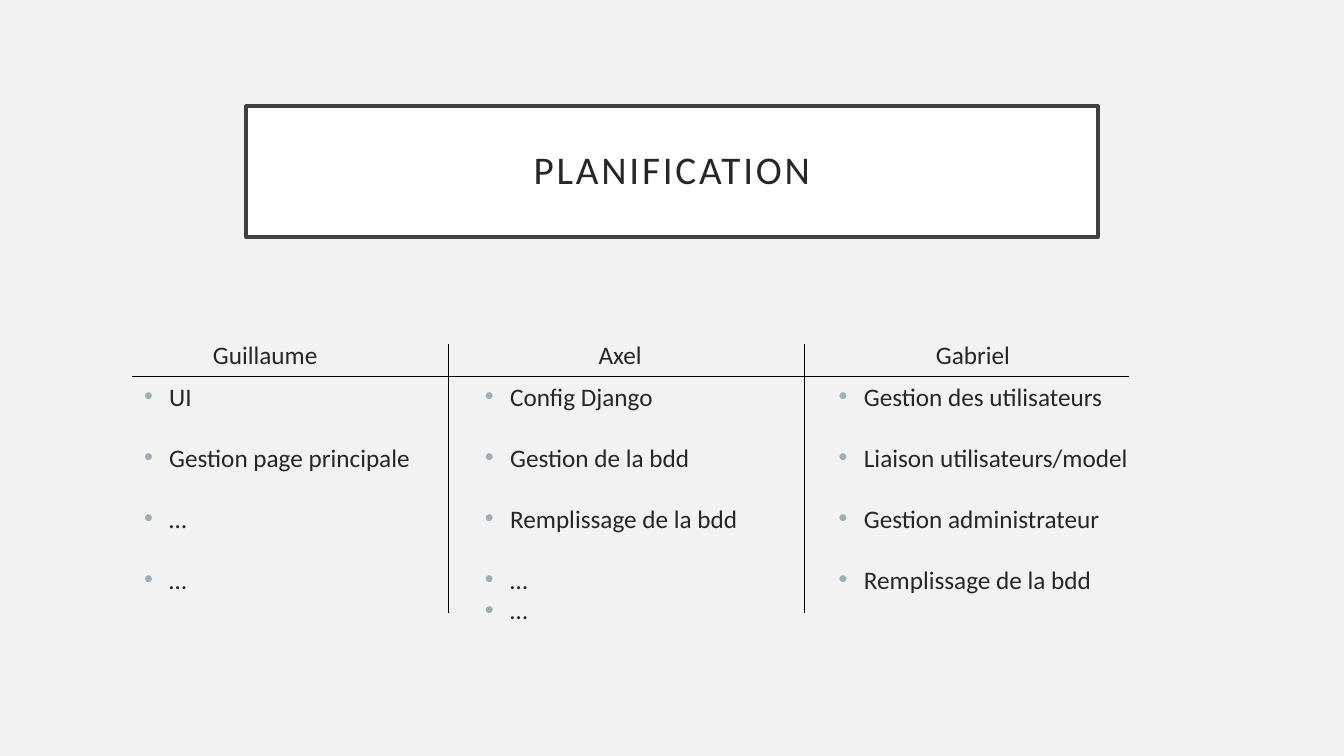
from dataclasses import dataclass
from lxml.etree import SubElement
from pptx import Presentation
from pptx.dml.color import RGBColor
from pptx.enum.shapes import MSO_CONNECTOR
from pptx.enum.text import MSO_ANCHOR, MSO_AUTO_SIZE, PP_ALIGN
from pptx.oxml.ns import qn
from pptx.slide import Slide
from pptx.util import Inches, Pt


def color(value):
    """Turn a hex string into a colour."""
    return RGBColor.from_string(value)


@dataclass
class PlanningSlide:
    """Hold the slide and its style, and draw each kind of element."""
    slide: Slide
    font_name: str = "Calibri"
    text_color: str = "262626"
    bullet_color: str = "9BAFB5"
    text_size: int = 18
    item_gap: int = 22

    def style(self, paragraph, size):
        """Apply the common font to a paragraph."""
        font = paragraph.font
        font.name = self.font_name
        font.size = Pt(size)
        font.color.rgb = color(self.text_color)

    def place(self, shape, left, top, width, height):
        """Move a shape and prepare its text frame."""
        shape.left, shape.top = Inches(left), Inches(top)
        shape.width, shape.height = Inches(width), Inches(height)
        shape.text_frame.word_wrap = True
        shape.text_frame.auto_size = MSO_AUTO_SIZE.NONE

    def text_box(self):
        """Add an empty text box."""
        return self.slide.shapes.add_textbox(0, 0, 0, 0)

    def title(self, text, left, top, width, height):
        """Fill and frame the title placeholder."""
        shape = self.slide.shapes.title
        self.place(shape, left, top, width, height)
        shape.fill.solid()
        shape.fill.fore_color.rgb = color("FFFFFF")
        shape.line.color.rgb = color("404040")
        shape.line.width = Pt(2.5)
        frame = shape.text_frame
        frame.vertical_anchor = MSO_ANCHOR.MIDDLE
        frame.margin_left = frame.margin_right = Inches(0.2)
        frame.margin_top = frame.margin_bottom = Inches(0.2)
        paragraph = frame.paragraphs[0]
        run = paragraph.add_run()
        run.text = text
        run.font._element.set("spc", "200")
        paragraph.alignment = PP_ALIGN.CENTER
        paragraph.line_spacing = 0.9
        self.style(paragraph, 28)

    def header(self, text, left, top, width, height):
        """Add a centred column header."""
        shape = self.text_box()
        self.place(shape, left, top, width, height)
        paragraph = shape.text_frame.paragraphs[0]
        paragraph.text = text
        paragraph.alignment = PP_ALIGN.CENTER
        self.style(paragraph, self.text_size)

    def bullets(self, shape, items, spaced, left, top, width, height):
        """Write a bulleted list whose first items are spaced apart."""
        self.place(shape, left, top, width, height)
        frame = shape.text_frame
        frame.text = "\n".join(items)
        for index, paragraph in enumerate(frame.paragraphs):
            paragraph.space_before = Pt(self.item_gap if 0 < index < spaced else 0)
            properties = paragraph._p.get_or_add_pPr()
            properties.set("marL", str(Inches(0.25)))
            properties.set("indent", str(-Inches(0.25)))
            bullet = SubElement(properties, qn("a:buClr"))
            SubElement(bullet, qn("a:srgbClr"), val=self.bullet_color)
            SubElement(properties, qn("a:buFont"), typeface="Arial")
            SubElement(properties, qn("a:buChar"), char="•")
            self.style(paragraph, self.text_size)

    def rule(self, start_x, start_y, end_x, end_y):
        """Add a thin black line."""
        line = self.slide.shapes.add_connector(
            MSO_CONNECTOR.STRAIGHT, Inches(start_x), Inches(start_y),
            Inches(end_x), Inches(end_y))
        line.line.color.rgb = color("000000")
        line.line.width = Pt(0.5)
        SubElement(line._element.spPr, qn("a:effectLst"))


presentation = Presentation()
presentation.slide_width, presentation.slide_height = Inches(13.33), Inches(7.5)
slide = presentation.slides.add_slide(presentation.slide_layouts[1])
slide.background.fill.solid()
slide.background.fill.fore_color.rgb = color("F2F2F2")

planning = PlanningSlide(slide)
planning.title("PLANIFICATION", 2.44, 1.05, 8.45, 1.3)

HEADER_TOP, LIST_TOP = 3.32, 3.73
columns = [
    ("Guillaume", 1.07, 1.33, planning.text_box(),
     ["UI", "Gestion page principale", "…", "…"]),
    ("Axel", 4.59, 4.71, slide.placeholders[1],
     ["Config Django", "Gestion de la bdd", "Remplissage de la bdd", "…", "…"]),
    ("Gabriel", 8.09, 8.22, planning.text_box(),
     ["Gestion des utilisateurs", "Liaison utilisateurs/model",
      "Gestion administrateur", "Remplissage de la bdd"]),
]
for name, header_left, list_left, list_shape, tasks in columns:
    planning.header(name, header_left, HEADER_TOP, 3.12, 0.41)
    planning.bullets(list_shape, tasks, 4, list_left, LIST_TOP, 3.38, 2.63)

planning.rule(1.31, LIST_TOP, 11.2, LIST_TOP)
for divider in (4.45, 7.98):
    planning.rule(divider, 3.41, divider, 6.08)

presentation.save("out.pptx")
